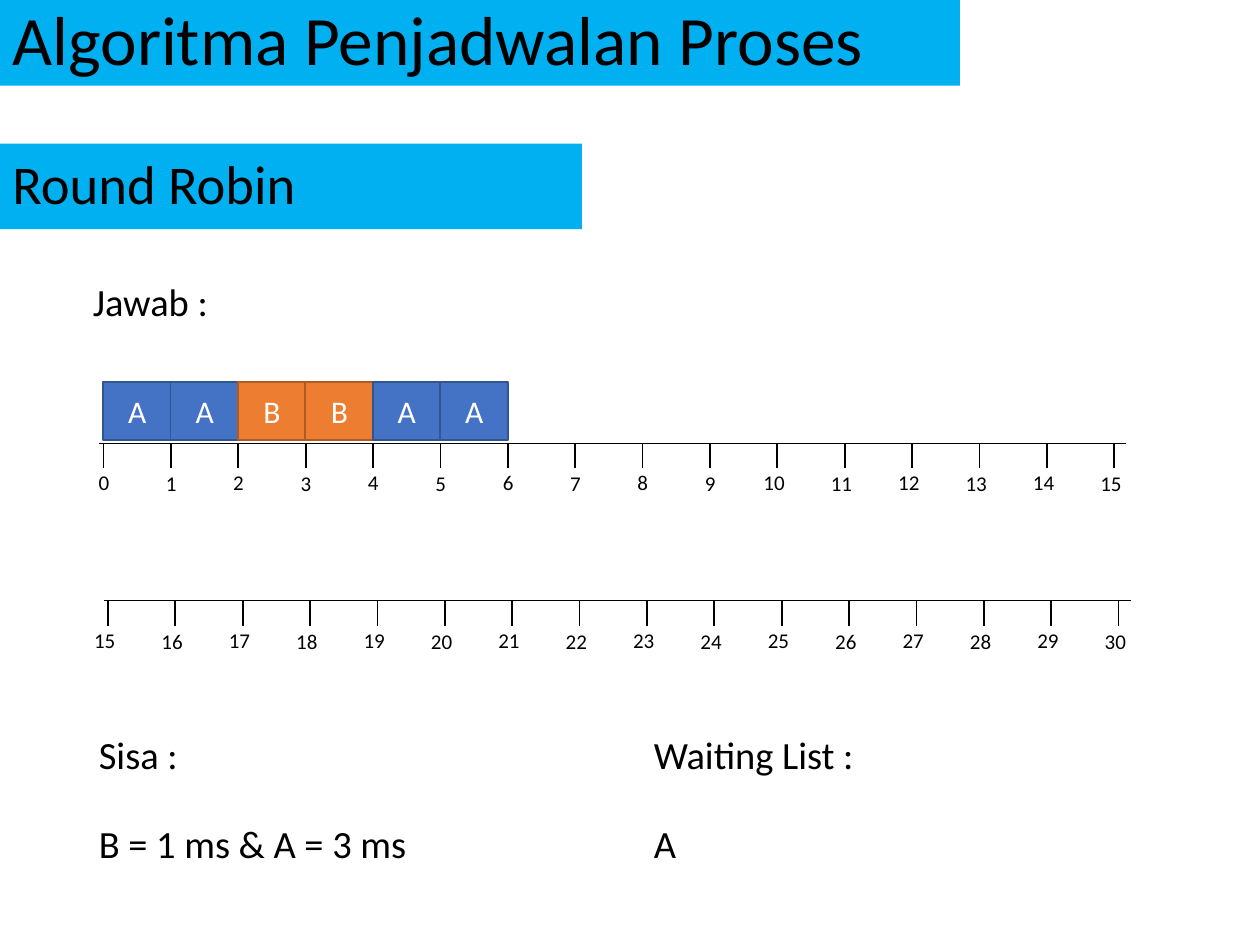
from pptx import Presentation
from pptx.dml.color import RGBColor
from pptx.enum.shapes import MSO_CONNECTOR, MSO_SHAPE
from pptx.enum.text import MSO_ANCHOR, MSO_AUTO_SIZE, PP_ALIGN
from pptx.oxml.ns import qn
from pptx.util import Pt

STRAIGHT = MSO_CONNECTOR.STRAIGHT
RECTANGLE = MSO_SHAPE.RECTANGLE
MIDDLE = MSO_ANCHOR.MIDDLE
GROW = MSO_AUTO_SIZE.SHAPE_TO_FIT_TEXT
LEFT, CENTER, JUSTIFY = PP_ALIGN.LEFT, PP_ALIGN.CENTER, PP_ALIGN.JUSTIFY

FONT = "Calibri"
BLACK, WHITE, BANNER_BLUE = "000000", "FFFFFF", "00B0F0"
PROCESS_COLORS = {"A": ("4472C4", "325491"), "B": ("ED7D31", "AF5C24")}
UNIT = 38.5
TICK_HEIGHT = 14.4


def color(value):
    """Return the colour for a hex string."""
    return RGBColor.from_string(value)


def write(frame, text, size, ink, align):
    """Write one styled paragraph into a text frame."""
    frame.word_wrap = True
    paragraph = frame.paragraphs[0]
    paragraph.text = text
    paragraph.alignment = align
    paragraph.font.name = FONT
    paragraph.font.size = Pt(size)
    paragraph.font.color.rgb = color(ink)
    return paragraph


def add_label(shapes, box, text, size, align):
    """Add a plain text box that grows with its text."""
    frame = shapes.add_textbox(*map(Pt, box)).text_frame
    write(frame, text, size, BLACK, align)
    frame.auto_size = GROW


def add_block(shapes, box, fill, outline=None):
    """Add a filled rectangle, outlined if a colour is given."""
    block = shapes.add_shape(RECTANGLE, *map(Pt, box))
    block.shadow.inherit = False
    block.fill.solid()
    block.fill.fore_color.rgb = color(fill)
    if outline:
        block.line.color.rgb = color(outline)
        block.line.width = Pt(1)
    else:
        block.line.fill.background()
    block.text_frame.vertical_anchor = MIDDLE
    return block


def add_rule(shapes, start, end, width):
    """Add a straight black line without a shadow."""
    rule = shapes.add_connector(STRAIGHT, *map(Pt, start + end))
    rule.line.color.rgb = color(BLACK)
    rule.line.width = Pt(width)
    properties = rule._element.spPr
    properties.append(properties.makeelement(qn("a:effectLst"), {}))


def add_banner(shapes, box, text, size):
    """Add a blue heading bar."""
    banner = add_block(shapes, box, BANNER_BLUE)
    heading = write(banner.text_frame, text, size, BLACK, LEFT)
    heading.line_spacing = 0.9


def add_timeline(shapes, box, times):
    """Add an axis with one numbered tick per millisecond."""
    left, top, width, height = box
    timeline = shapes.add_group_shape().shapes
    add_rule(timeline, (left, top), (left + width, top), 0.5)
    for index, time in enumerate(times):
        x = left + 2.5 + index * UNIT
        add_rule(timeline, (x, top), (x, top + TICK_HEIGHT), 1)
        offset, label_width = (10, 24) if time < 10 else (15, 30)
        label_top = top + 11.5 + index % 2 * 0.7
        label_box = (x - offset, label_top, label_width, height - 11.5)
        add_label(timeline, label_box, str(time), 12, LEFT)


def add_schedule(shapes, box, processes):
    """Add one coloured block per millisecond of processor time."""
    left, top, width, height = box
    for index, process in enumerate(processes):
        block_box = (left + index * UNIT, top, width / len(processes), height)
        block = add_block(shapes, block_box, *PROCESS_COLORS[process])
        write(block.text_frame, process, 18, WHITE, CENTER)


def add_status(shapes, box, heading, value):
    """Add a heading with its value below."""
    left, top, width, height = box
    for text, offset in ((heading, 0), (value, height - 34)):
        add_label(shapes, (left, top + offset, width, 34), text, 22, JUSTIFY)


def main():
    """Build the round robin slide."""
    deck = Presentation()
    deck.slide_width, deck.slide_height = Pt(720), Pt(540)
    shapes = deck.slides.add_slide(deck.slide_layouts[6]).shapes

    add_banner(shapes, (0, 0, 548.6, 49), "Algoritma Penjadwalan Proses", 39.6)
    add_banner(shapes, (0, 82, 332.6, 49), "Round Robin", 31.2)
    add_label(shapes, (46, 155.5, 142.6, 34), "Jawab :", 22, JUSTIFY)
    add_timeline(shapes, (56.7, 253.3, 587, 33), range(16))
    add_schedule(shapes, (59, 218.2, 233.4, 33.2), "AABBAA")
    add_timeline(shapes, (59.2, 343.4, 587, 33), range(15, 31))
    add_status(shapes, (49.4, 414, 231, 85), "Sisa :", "B = 1 ms & A = 3 ms")
    add_status(shapes, (366.5, 414, 142.6, 85), "Waiting List :", "A")
    deck.save("out.pptx")


if __name__ == "__main__":
    main()
